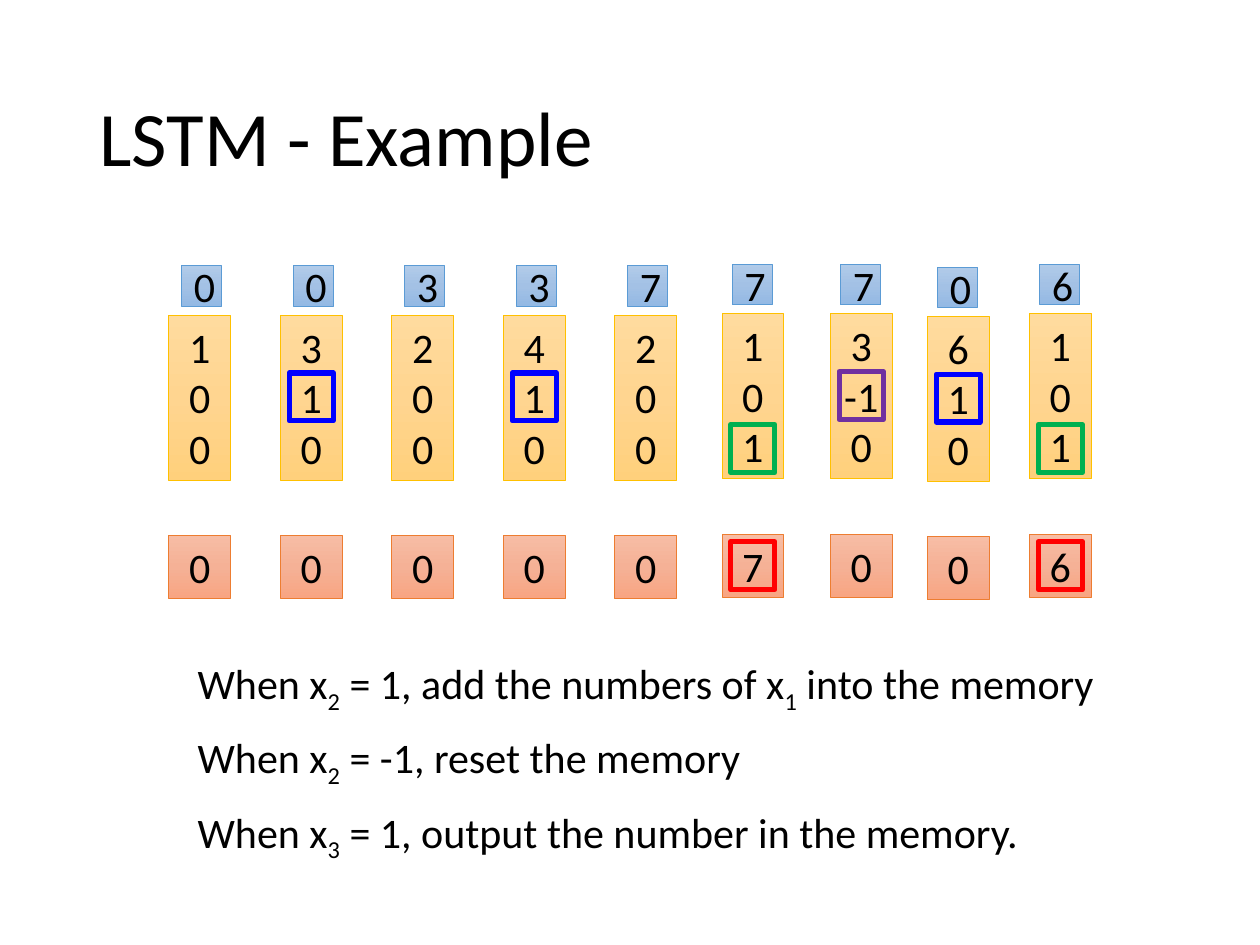
"""Build a slide that traces an LSTM memory over nine input steps."""
from copy import deepcopy

from pptx import Presentation
from pptx.dml.color import RGBColor
from pptx.enum.shapes import MSO_SHAPE
from pptx.enum.text import MSO_ANCHOR, MSO_AUTO_SIZE, PP_ALIGN
from pptx.oxml.ns import qn
from pptx.util import Inches, Pt

RECT = MSO_SHAPE.RECTANGLE
TOP, MIDDLE = MSO_ANCHOR.TOP, MSO_ANCHOR.MIDDLE
LEFT, CENTER = PP_ALIGN.LEFT, PP_ALIGN.CENTER
GROW, FIXED = MSO_AUTO_SIZE.SHAPE_TO_FIT_TEXT, MSO_AUTO_SIZE.NONE

TITLE = "LSTM - Example"
STEPS = [
    {"memory": "0", "input": ["1", "0", "0"], "output": "0"},
    {"memory": "0", "input": ["3", "1", "0"], "output": "0"},
    {"memory": "3", "input": ["2", "0", "0"], "output": "0"},
    {"memory": "3", "input": ["4", "1", "0"], "output": "0"},
    {"memory": "7", "input": ["2", "0", "0"], "output": "0"},
    {"memory": "7", "input": ["1", "0", "1"], "output": "7"},
    {"memory": "7", "input": ["3", "-1", "0"], "output": "0"},
    {"memory": "0", "input": ["6", "1", "0"], "output": "0"},
    {"memory": "6", "input": ["1", "0", "1"], "output": "6"},
]
RULES = [
    ["When x", ("2",), " = 1, add the numbers of x", ("1",), " into the memory"],
    ["When x", ("2",), " = -1, reset the memory"],
    ["When x", ("3",), " = 1, output the number in the memory."],
]

THEME = {
    "font": "Calibri", "ink": "000000", "title": 44, "body": 24,
    "thin": 0.5, "thick": 3,
    "memory": (["B1CBE9", "A3C1E5", "93B9E4"], "5B9BD5"),
    "input": (["FFDB9E", "FFD590", "FFD07C"], "FFC000"),
    "output": (["F7BDA5", "F5B196", "F8A582"], "ED7D31"),
    "add": "0000FF", "reset": "7030A0", "emit": "00B050", "result": "FF0000",
}

PITCH = 0.885
COLUMNS = [(1.34 + PITCH * i, 0) for i in range(5)]
COLUMNS += [(5.73, -0.01), (6.59, -0.01), (7.36, 0.01), (8.17, -0.01)]
ROWS = {
    "memory": (2.11, 0.32, 0.32, MIDDLE, FIXED),
    "input": (2.5, 0.49, 1.31, TOP, GROW),
    "output": (4.25, 0.49, 0.5, TOP, GROW),
}
MARKS = {"add": 2.96, "reset": 2.96, "emit": 3.38, "result": 4.31}


def color(code):
    """Turn a hex code into a colour."""
    return RGBColor.from_string(code)


def write(frame, lines, size, align=LEFT, anchor=TOP, fit=GROW, space=None):
    """Write lines of runs; a run held in a tuple is a subscript."""
    frame.word_wrap = True
    frame.auto_size = fit
    frame.vertical_anchor = anchor
    for i, runs in enumerate(lines):
        para = frame.add_paragraph() if i else frame.paragraphs[0]
        para.alignment = align
        para.line_spacing = space
        for part in runs:
            run = para.add_run()
            run.text = part[0] if isinstance(part, tuple) else part
            run.font.name = THEME["font"]
            run.font.size = Pt(size)
            run.font.color.rgb = color(THEME["ink"])
            if isinstance(part, tuple):
                run.font._element.set("baseline", "-25000")


def label(slide, place, runs, size, **style):
    """Add a text box with one line of runs."""
    box = slide.shapes.add_textbox(*map(Inches, place))
    write(box.text_frame, [runs], size, **style)


def frame_box(slide, place, edge, width):
    """Add an unfilled rectangle with a coloured edge."""
    shape = slide.shapes.add_shape(RECT, *map(Inches, place))
    shape.shadow.inherit = False
    shape.fill.background()
    shape.line.color.rgb = color(edge)
    shape.line.width = Pt(width)
    return shape


def shade(shape, tints):
    """Fill a shape with a downward gradient of three tints."""
    shape.fill.gradient()
    shape.fill.gradient_angle = 270
    stops = shape._element.spPr.find(qn("a:gradFill")).find(qn("a:gsLst"))
    middle = deepcopy(stops[0])
    middle.set("pos", "50000")
    stops.insert(1, middle)
    for stop, tint in zip(shape.fill.gradient_stops, tints):
        stop.color.rgb = color(tint)


def cell(slide, kind, x, drift, lines):
    """Add one filled cell of the given row."""
    top, width, height, anchor, fit = ROWS[kind]
    tints, edge = THEME[kind]
    shape = frame_box(slide, (x, top + drift, width, height), edge, THEME["thin"])
    shade(shape, tints)
    write(shape.text_frame, lines, THEME["body"], CENTER, anchor, fit)


def marks(step):
    """List the marks that a step calls for."""
    _, gate, out = step["input"]
    found = {"1": ["add"], "-1": ["reset"]}.get(gate, [])
    return found + (["emit", "result"] if out == "1" else [])


def main():
    """Draw the title, the steps and the rules."""
    deck = Presentation()
    deck.slide_width, deck.slide_height = Inches(10), Inches(7.5)
    slide = deck.slides.add_slide(deck.slide_layouts[6])
    label(slide, (0.69, 0.4, 8.62, 1.45), [TITLE], THEME["title"],
          anchor=MIDDLE, fit=FIXED, space=0.9)
    for (x, drift), step in zip(COLUMNS, STEPS):
        inset = 0.08 if drift else 0.1
        cell(slide, "memory", x + inset, drift, [[step["memory"]]])
        cell(slide, "input", x, drift, [[value] for value in step["input"]])
        cell(slide, "output", x, drift, [[step["output"]]])
        for mark in marks(step):
            place = (x + 0.07, MARKS[mark] + drift, 0.35, 0.38)
            frame_box(slide, place, THEME[mark], THEME["thick"])
    for i, runs in enumerate(RULES):
        label(slide, (1.47, 5.17 + 0.59 * i, 8.11, 0.5), runs, THEME["body"])
    deck.save("out.pptx")


if __name__ == "__main__":
    main()
